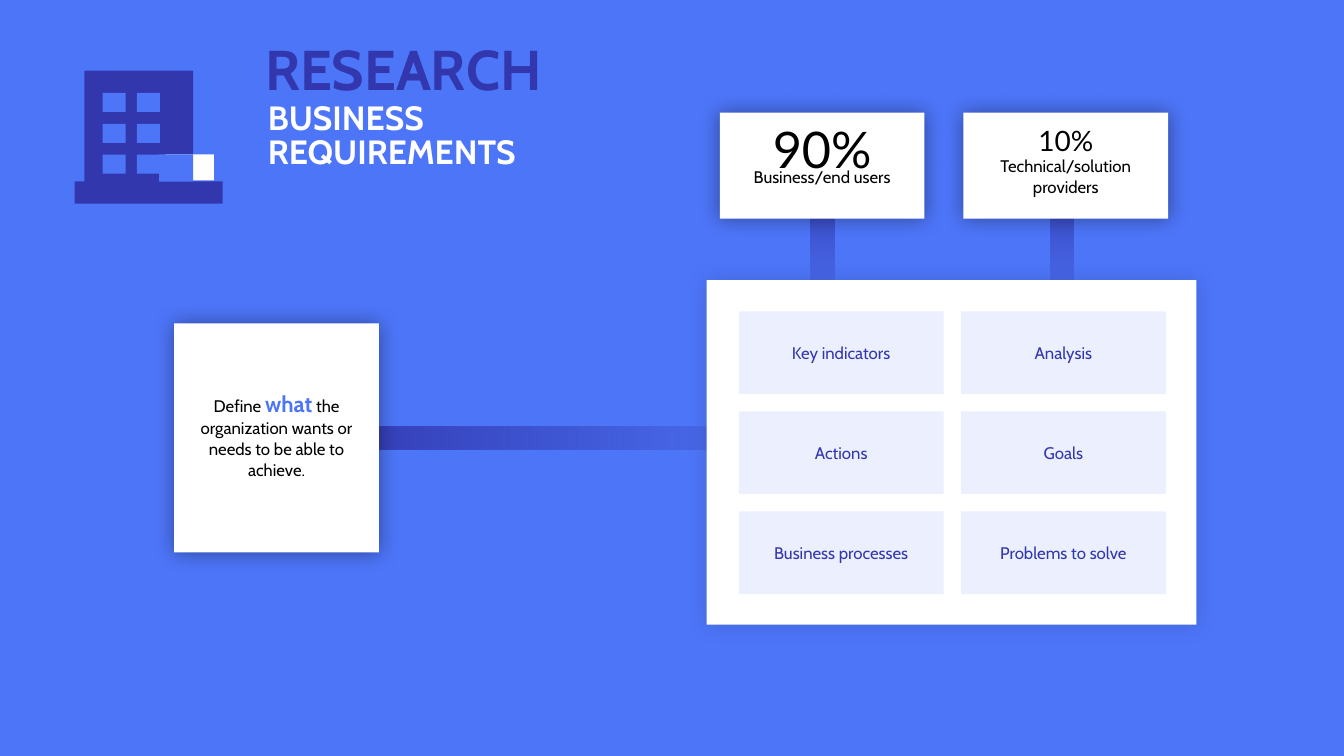
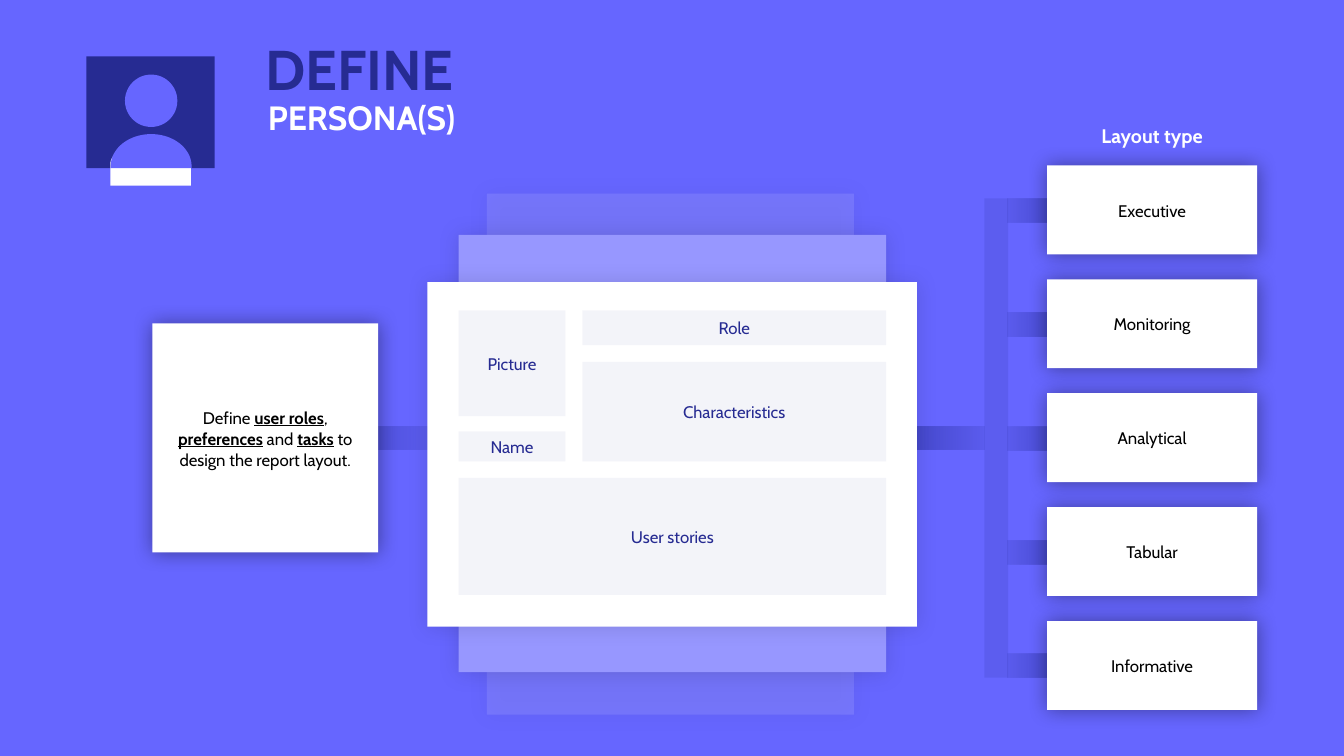
from math import cos, pi, sin

from lxml.etree import SubElement
from pptx import Presentation
from pptx.dml.color import RGBColor
from pptx.enum.shapes import MSO_SHAPE
from pptx.enum.text import MSO_ANCHOR, PP_ALIGN
from pptx.oxml.ns import qn
from pptx.util import Cm, Pt

WHITE, BLACK = "FFFFFF", "000000"
BLUE, INDIGO = "4D75F8", "3237AE"
VIOLET, NAVY, LILAC = "6666FF", "262B92", "9797FF"
BAR = 0.6
BAR_TOP = 10.74
colour = RGBColor.from_string


def place(slide, box, fill, alpha=100, shadow=0, fade=False, turn=0, outline=MSO_SHAPE.RECTANGLE):
    shape = slide.shapes.add_shape(outline, *map(Cm, box))
    shape.rotation = turn
    shape.line.fill.background()
    if fade:
        shape.fill.gradient()
        shape.fill.gradient_angle = 0
        for stop, position in zip(shape.fill.gradient_stops, (0.2, 1)):
            stop.color.rgb = colour(fill)
            stop.position = position
        alpha = 20
    else:
        shape.fill.solid()
        shape.fill.fore_color.rgb = colour(fill)
    if alpha < 100:
        last_colour = list(shape.element.spPr.iter(qn("a:srgbClr")))[-1]
        SubElement(last_colour, qn("a:alpha"), val=str(alpha * 1000))
    shape.shadow.inherit = False
    if shadow:
        effects = shape.element.spPr.find(qn("a:effectLst"))
        glow = SubElement(effects, qn("a:outerShdw"), blurRad=str(Pt(15)), dist="0", dir="0",
                          algn="ctr", rotWithShape="0")
        tint = SubElement(glow, qn("a:srgbClr"), val=BLACK)
        SubElement(tint, qn("a:alpha"), val=str(shadow * 1000))
    return shape


def write(shape, pieces, ink, size=12, font="Cabin", bold=False, align=PP_ALIGN.CENTER, spacing=None):
    frame = shape.text_frame
    frame.word_wrap = True
    frame.vertical_anchor = MSO_ANCHOR.MIDDLE
    paragraph = frame.paragraphs[0]
    paragraph.alignment = align
    paragraph.line_spacing = spacing
    paragraph.font.name = font
    paragraph.font.size = Pt(size)
    paragraph.font.bold = bold
    paragraph.font.color.rgb = colour(ink)
    for piece in pieces:
        paragraph.add_run().text = piece
    return paragraph.runs


deck = Presentation()
deck.slide_width, deck.slide_height = Cm(33.87), Cm(19.05)

pages = []
for backdrop, heading, heading_ink, subtitle in (
    (BLUE, "RESEARCH", INDIGO, ("BUSINESS", "REQUIREMENTS")),
    (VIOLET, "DEFINE", NAVY, ("PERSONA(S)",)),
):
    page = deck.slides.add_slide(deck.slide_layouts[6])
    page.background.fill.solid()
    page.background.fill.fore_color.rgb = colour(backdrop)
    title = page.shapes.add_textbox(Cm(6.43), Cm(0.08), Cm(8.56), Cm(3.28))
    write(title, [heading], heading_ink, 40, bold=True, align=PP_ALIGN.LEFT)
    for row, words in enumerate(subtitle):
        line = page.shapes.add_textbox(Cm(6.5), Cm(2.36 + row * 0.87), Cm(7.37), Cm(1.17))
        write(line, [words], WHITE, 24, bold=True, align=PP_ALIGN.LEFT)
    pages.append(page)
research, persona = pages

for box, fill in (
    ((2.13, 1.78, 2.74, 3.3), INDIGO),
    ((1.88, 4.57, 3.73, 0.56), INDIGO),
    ((4.17, 3.89, 1.22, 0.66), WHITE),
    ((4.01, 3.89, 0.86, 0.69), BLUE),
):
    place(research, box, fill)
for floor in range(3):
    for window_left in (2.59, 3.45):
        place(research, (window_left, 2.34 + floor * 0.78, 0.58, 0.48), BLUE)

for stem_left in (18.67, 24.71):
    place(research, (stem_left, 4.75, 4.11, BAR), INDIGO, fade=True, turn=90)
place(research, (4.65, BAR_TOP, 13.18, BAR), INDIGO, fade=True)

purpose = place(research, (4.39, 8.15, 5.16, 5.77), WHITE, shadow=40)
purpose_runs = write(
    purpose,
    ["Define ", "what", " the organization wants or needs to be able to achieve."],
    BLACK, spacing=Pt(15),
)
what = purpose_runs[1].font
what.size, what.bold, what.color.rgb = Pt(16), True, colour(BLUE)

place(research, (17.81, 7.06, 12.34, 8.68), WHITE, shadow=13)
topics = ("Key indicators", "Analysis", "Actions", "Goals", "Business processes", "Problems to solve")
for index, topic in enumerate(topics):
    row, column = divmod(index, 2)
    tile = place(research, (18.62 + column * 5.6, 7.85 + row * 2.52, 5.16, 2.08), BLUE, alpha=10)
    write(tile, [topic], INDIGO, spacing=Pt(15))

for left, audience, share, share_size, share_top, share_height in (
    (18.14, "Business/end users", "90%", 36, 2.84, 1.8),
    (24.28, "Technical/solution providers", "10%", 20, 2.97, 1.12),
):
    card = place(research, (left, 2.84, 5.16, 2.67), WHITE, shadow=40)
    write(card, [audience], BLACK, spacing=Pt(15))
    card.text_frame.margin_top = Cm(0.66)
    figure = research.shapes.add_textbox(Cm(left), Cm(share_top), Cm(5.16), Cm(share_height))
    write(figure, [share], BLACK, share_size, font="Lato")

place(persona, (2.18, 1.42, 3.23, 2.82), NAVY)
place(persona, (3.25, 3.12, 1.09, 2.03), WHITE, turn=270, outline=MSO_SHAPE.FLOWCHART_DELAY)
place(persona, (3.15, 1.88, 1.32, 1.32), VIOLET, outline=MSO_SHAPE.OVAL)
arc = [
    (Cm(3.81 - 1.02 * cos(pi * step / 40)), Cm(4.19 - 0.81 * sin(pi * step / 40)))
    for step in range(41)
]
outline = persona.shapes.build_freeform(Cm(2.79), Cm(4.24))
outline.add_line_segments(arc + [(Cm(4.83), Cm(4.24))])
shoulders = outline.convert_to_shape()
shoulders.fill.solid()
shoulders.fill.fore_color.rgb = colour(VIOLET)
shoulders.line.fill.background()
shoulders.shadow.inherit = False

place(persona, (12.27, 4.88, 9.25, 13.13), LILAC, alpha=34, shadow=13)
place(persona, (11.56, 5.92, 10.77, 11.02), LILAC, shadow=13)
for bar_left, bar_width in ((20.62, 4.19), (4.65, 6.12)):
    place(persona, (bar_left, BAR_TOP, bar_width, BAR), INDIGO, fade=True)

roles = place(persona, (3.84, 8.15, 5.69, 5.77), WHITE, shadow=40)
role_runs = write(
    roles,
    ["Define ", "user roles", ", ", "preferences", " and ", "tasks", " to design the report layout."],
    BLACK, spacing=Pt(15),
)
for run in role_runs[1::2]:
    run.font.bold = run.font.underline = True

place(persona, (10.77, 7.11, 12.34, 8.68), WHITE, shadow=13)
for part, box in (
    ("Picture", (11.56, 7.82, 2.69, 2.67)),
    ("Name", (11.56, 10.87, 2.69, 0.76)),
    ("Role", (14.68, 7.82, 7.65, 0.88)),
    ("Characteristics", (14.68, 9.12, 7.65, 2.51)),
    ("User stories", (11.56, 12.04, 10.77, 2.95)),
):
    write(place(persona, box, NAVY, alpha=5), [part], NAVY, spacing=Pt(15))

layout_title = persona.shapes.add_textbox(Cm(26.19), Cm(2.84), Cm(5.69), Cm(1.17))
write(layout_title, ["Layout type"], WHITE, 14, bold=True)
layouts = ("Executive", "Monitoring", "Analytical", "Tabular", "Informative")
for index, layout in enumerate(layouts):
    top = 4.17 + index * 2.87
    place(persona, (25.4, top + 0.83, 3.05, BAR), INDIGO, fade=True, turn=180)
    card = place(persona, (26.39, top, 5.29, 2.24), WHITE, shadow=40)
    write(card, [layout], BLACK, spacing=Pt(15))
place(persona, (24.81, 5, BAR, 12.08), INDIGO, alpha=19)

deck.save("out.pptx")
